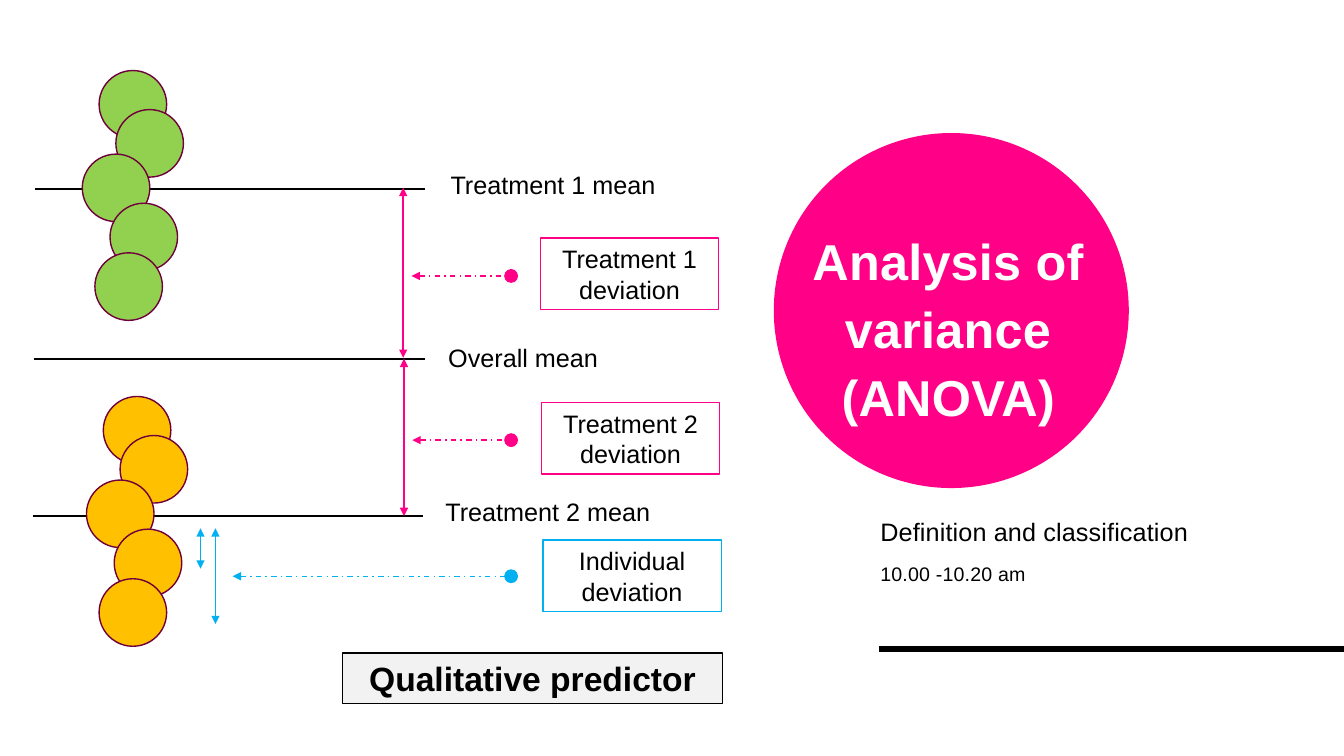
from lxml.etree import SubElement
from pptx import Presentation
from pptx.dml.color import RGBColor
from pptx.enum.dml import MSO_LINE
from pptx.enum.shapes import MSO_CONNECTOR, MSO_SHAPE
from pptx.enum.text import MSO_ANCHOR, MSO_AUTO_SIZE, PP_ALIGN
from pptx.oxml.ns import qn
from pptx.util import Inches, Pt

CELL = Inches(1) / 12
COLUMNS, ROWS = 160, 90
PINK, BLUE, BLACK, WHITE = "FF0087", "00B0F0", "000000", "FFFFFF"
GREEN, AMBER, PLUM, PALE_GREY = "92D050", "FFC000", "70003B", "F2F2F2"

DOT_SIZE = 8.04
DOT_OFFSETS = [(2, 0), (4, 4.65), (0, 9.95), (3.3, 15.8), (1.5, 21.7)]


def grid(*cells):
    return [round(cell * CELL) for cell in cells]


def color(hex_string):
    return RGBColor.from_string(hex_string)


def write(frame, text, size, ink=BLACK, bold=False, align=PP_ALIGN.LEFT):
    frame.word_wrap = True
    frame.text = text
    paragraph = frame.paragraphs[0]
    paragraph.alignment = align
    paragraph.font.name = "Arial"
    paragraph.font.size = Pt(size)
    paragraph.font.bold = bold
    paragraph.font.color.rgb = color(ink)
    return paragraph


def fill_placeholder(placeholder, box, text, size, spacing, **style):
    """Place a template placeholder as plain, unbulleted text; spacing in points."""
    placeholder.left, placeholder.top, placeholder.width, placeholder.height = grid(*box)
    frame = placeholder.text_frame
    frame.auto_size = MSO_AUTO_SIZE.NONE
    frame.vertical_anchor = MSO_ANCHOR.TOP
    paragraph = write(frame, text, size, **style)
    properties = paragraph._p.get_or_add_pPr()
    properties.set("marL", "0")
    properties.set("indent", "0")
    properties.insert(0, properties.makeelement(qn("a:buNone")))
    paragraph.line_spacing = 1.13
    paragraph.space_before = Pt(0)
    paragraph.font._rPr.set("spc", str(round(spacing * 100)))


def add_figure(slide, kind, box, outline, fill=None):
    figure = slide.shapes.add_shape(kind, *grid(*box))
    figure.shadow.inherit = False
    if fill:
        figure.fill.solid()
        figure.fill.fore_color.rgb = color(fill)
    else:
        figure.fill.background()
    figure.line.color.rgb = color(outline)
    figure.line.width = Pt(1)
    return figure


def add_dots(slide, left, top, fill):
    for across, down in DOT_OFFSETS:
        box = (left + across, top + down, DOT_SIZE, DOT_SIZE)
        add_figure(slide, MSO_SHAPE.OVAL, box, PLUM, fill)


def add_line(slide, start, end, ink, width=1.25, dash=None, ends=()):
    """Draw a straight line; ends names the marks at start and end."""
    line = slide.shapes.add_connector(MSO_CONNECTOR.STRAIGHT, *grid(*start, *end))
    line.line.color.rgb = color(ink)
    line.line.width = Pt(width)
    if dash:
        line.line.dash_style = dash
    for tag, mark in zip(("a:headEnd", "a:tailEnd"), ends):
        size = "lg" if mark == "oval" else "med"
        SubElement(line.line._get_or_add_ln(), qn(tag), type=mark, w=size, len=size)
    SubElement(line.element.spPr, qn("a:effectLst"))


def add_deviation_span(slide, x, top, bottom, ink):
    add_line(slide, (x, top), (x, bottom), ink, ends=("triangle", "triangle"))


def add_pointer(slide, tip, y, ink):
    add_line(slide, (tip, y), (60.85, y), ink, 1, MSO_LINE.DASH_DOT, ("triangle", "oval"))


def add_mean_label(slide, left, top, text):
    label = slide.shapes.add_textbox(*grid(left, top, 33.4, 4.8))
    write(label.text_frame, text, 18)
    label.text_frame.auto_size = MSO_AUTO_SIZE.SHAPE_TO_FIT_TEXT


def add_caption(slide, box, text, outline, fill=None, size=18, bold=False):
    caption = add_figure(slide, MSO_SHAPE.RECTANGLE, box, outline, fill)
    write(caption.text_frame, text, size, bold=bold, align=PP_ALIGN.CENTER)
    caption.text_frame.auto_size = MSO_AUTO_SIZE.SHAPE_TO_FIT_TEXT


def add_heading(slide):
    title, topic, time = slide.placeholders
    disc = add_figure(slide, MSO_SHAPE.OVAL, (92.2, 15.92, 42.1, 42.1), PINK, PINK)
    title.element.addprevious(disc.element)
    fill_placeholder(title, (94.35, 25.8, 37.1, 26.8), "Analysis of variance (ANOVA)", 36, 0.2,
                     ink=WHITE, bold=True, align=PP_ALIGN.CENTER)
    fill_placeholder(topic, (103.6, 60.45, 41.6, 4.1), "Definition and classification", 18, 0.1)
    fill_placeholder(time, (103.6, 65.9, 24.4, 7.4), "10.00 -10.20 am", 14, 0.1)
    add_line(slide, (COLUMNS, 77.3), (104.6, 77.3), BLACK, 4.5)


def add_diagram(slide):
    for left, right, y in [(4.15, 50.6, 22.53), (3.9, 50.4, 61.47), (4.1, 50.55, 42.7)]:
        add_line(slide, (left, y), (right, y), BLACK)
    add_dots(slide, 9.8, 8.4, GREEN)
    add_dots(slide, 10.3, 47.2, AMBER)

    add_mean_label(slide, 52.46, 19.6, "Treatment 1 mean")
    add_mean_label(slide, 51.84, 58.46, "Treatment 2 mean")
    add_mean_label(slide, 52.18, 40.2, "Overall mean")

    add_deviation_span(slide, 48, 22.35, 42.6, PINK)
    add_deviation_span(slide, 48.1, 42.7, 61.44, PINK)
    add_deviation_span(slide, 25.65, 62.9, 74.3, BLUE)
    add_deviation_span(slide, 23.87, 62.9, 67.7, BLUE)

    for tip, pointer_y, left, top, text, ink in [
        (49, 32.85, 64.33, 28.35, "Treatment 1 deviation", PINK),
        (49.1, 52.4, 64.45, 47.95, "Treatment 2 deviation", PINK),
        (27.7, 68.6, 64.63, 64.3, "Individual deviation", BLUE),
    ]:
        add_pointer(slide, tip, pointer_y, ink)
        add_caption(slide, (left, top, 21.24, 8.5), text, ink)
    add_caption(slide, (40.8, 77.75, 45.2, 6), "Qualitative predictor", BLACK, PALE_GREY, 24, True)


def main():
    presentation = Presentation()
    presentation.slide_width, presentation.slide_height = grid(COLUMNS, ROWS)
    two_content = presentation.slide_layouts.get_by_name("Two Content")
    slide = presentation.slides.add_slide(two_content)
    add_heading(slide)
    add_diagram(slide)
    presentation.save("out.pptx")


if __name__ == "__main__":
    main()
